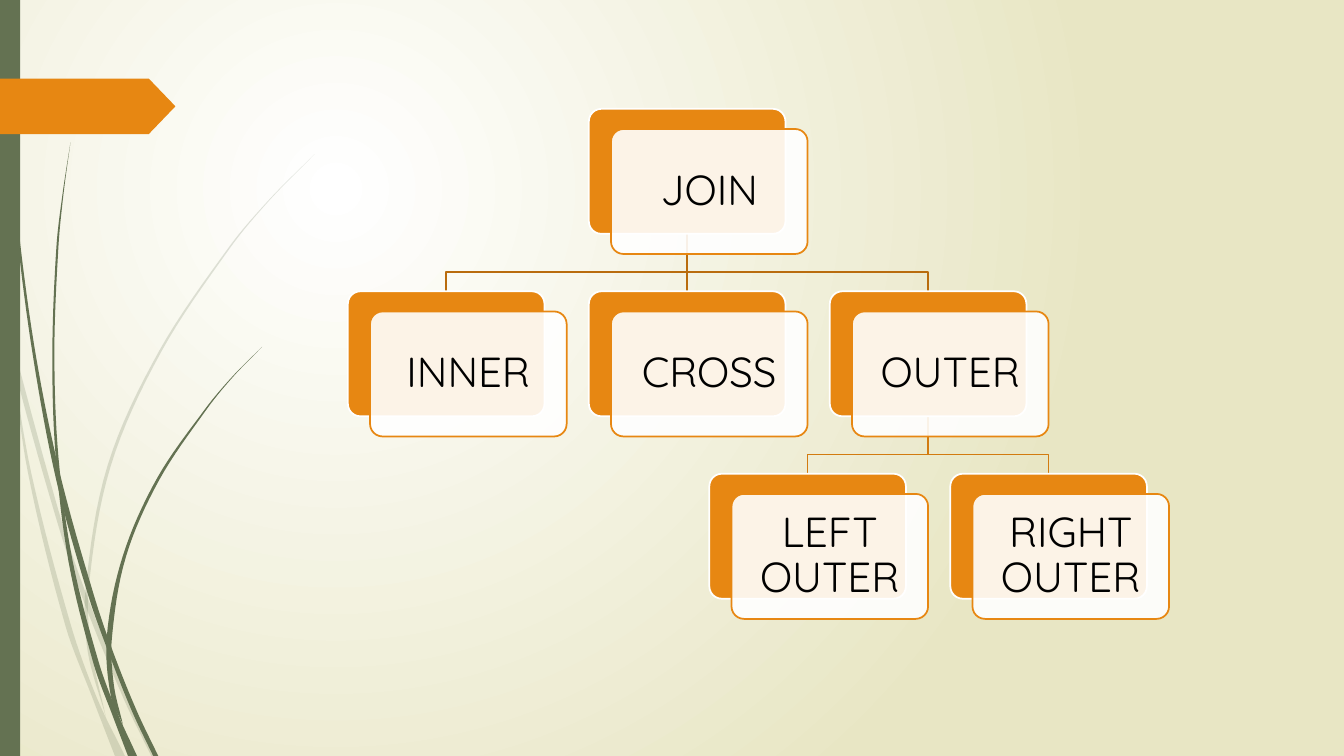
"""Builds a slide with a tree of SQL join types beside a grass motif."""
from dataclasses import dataclass
from typing import NamedTuple

from lxml import etree
from pptx import Presentation
from pptx.dml.color import RGBColor
from pptx.enum.shapes import MSO_CONNECTOR, MSO_SHAPE
from pptx.enum.text import MSO_ANCHOR, PP_ALIGN
from pptx.oxml.ns import qn
from pptx.util import Inches, Pt

RECTANGLE = MSO_SHAPE.RECTANGLE
ROUNDED = MSO_SHAPE.ROUNDED_RECTANGLE
TAG = MSO_SHAPE.PENTAGON
STRAIGHT = MSO_CONNECTOR.STRAIGHT
MIDDLE = MSO_ANCHOR.MIDDLE
CENTER = PP_ALIGN.CENTER


@dataclass(frozen=True)
class Theme:
    green: str = "647252"
    orange: str = "E78712"
    white: str = "FFFFFF"
    sand: str = "E8E6C4"
    black: str = "000000"
    branch_colors: tuple[str, ...] = ("B96C0E", "D27B10")
    font: str = "Quicksand"
    label_size: float = 30
    line_width: float = 1.25


class Point(NamedTuple):
    x: float
    y: float


@dataclass(frozen=True)
class Blade:
    left: list[tuple[float, float]]
    right: list[tuple[float, float]]
    opacity: int


@dataclass(frozen=True)
class Node:
    label: str
    column: float
    level: int
    parent: str = ""


THEME = Theme()
CARD_WIDTH, CARD_HEIGHT = 1.95, 1.24
TREE_LEFT, TREE_TOP = 3.45, 1.08
COLUMN_STEP, LEVEL_STEP = 2.39, 1.81
FRONT_SHIFT = Point(0.22, 0.2)
BEND_DROP = 0.38
CURVE_STEPS = 8

NODES = [
    Node("JOIN", 1, 0),
    Node("INNER", 0, 1, "JOIN"),
    Node("CROSS", 1, 1, "JOIN"),
    Node("OUTER", 2, 1, "JOIN"),
    Node("LEFT OUTER", 1.5, 2, "OUTER"),
    Node("RIGHT OUTER", 2.5, 2, "OUTER"),
]

BLADES = [
    Blade([(0, 2.99), (0.17, 3.76), (0.58, 5.22), (0.84, 5.99), (1.23, 6.94), (1.5, 7.5)],
          [(0, 2.82), (0.14, 3.45), (0.62, 5.2), (0.88, 5.96), (1.27, 6.92), (1.55, 7.5)], 20),
    Blade([(0.11, 3.5), (0.28, 4.7), (0.65, 6.21), (0.92, 6.93), (1.14, 7.5)],
          [(0.11, 3.5), (0.31, 4.69), (0.7, 6.19), (0.96, 6.92), (1.24, 7.5)], 20),
    Blade([(3.12, 1.53), (2.68, 1.97), (2.28, 2.44), (1.58, 3.48), (1.07, 4.61),
           (0.85, 5.84), (0.87, 6.46), (1.05, 7.11)],
          [(3.12, 1.53), (2.68, 1.98), (2.29, 2.45), (1.6, 3.49), (1.1, 4.62),
           (0.88, 5.84), (0.91, 6.46), (1.05, 7.11)], 20),
    Blade([(0.03, 0), (0.07, 1.1), (0.17, 2.33), (0.33, 3.55), (0.56, 4.77),
           (0.88, 5.92), (1.11, 6.56), (1.32, 7.08), (1.52, 7.5)],
          [(0.04, 0), (0.08, 1.09), (0.19, 2.32), (0.36, 3.55), (0.6, 4.72),
           (0.93, 5.9), (1.13, 6.49), (1.36, 7.06), (1.57, 7.5)], 100),
    Blade([(0.7, 1.41), (0.62, 1.93), (0.56, 2.45), (0.52, 3.49), (0.55, 4.49),
           (0.68, 5.57), (0.93, 6.59), (1.11, 7.08), (1.27, 7.5)],
          [(0.7, 1.41), (0.63, 1.93), (0.58, 2.45), (0.54, 3.49), (0.58, 4.53),
           (0.72, 5.56), (0.98, 6.57), (1.16, 7.06), (1.36, 7.5)], 100),
    Blade([(2.6, 3.44), (2.31, 3.73), (2.04, 4.05), (1.56, 4.74), (1.22, 5.51),
           (1.06, 6.31), (1.1, 6.91), (1.22, 7.19)],
          [(2.6, 3.44), (2.31, 3.74), (2.05, 4.06), (1.58, 4.76), (1.25, 5.52),
           (1.11, 6.33), (1.13, 6.8), (1.22, 7.19)], 100),
]


def color(value: str) -> RGBColor:
    return RGBColor.from_string(value)


def apply(target, **values) -> None:
    for name, value in values.items():
        setattr(target, name, value)


def style(shape, fill: str = "", line: str = "", opacity: int = 100) -> None:
    shape.shadow.inherit = False
    if fill:
        shape.fill.solid()
        shape.fill.fore_color.rgb = color(fill)
        if opacity < 100:
            tint = shape.fill._xPr.find(".//" + qn("a:srgbClr"))
            etree.SubElement(tint, qn("a:alpha"), val=str(opacity * 1000))
    else:
        shape.fill.background()
    if line:
        shape.line.color.rgb = color(line)
        shape.line.width = Pt(THEME.line_width)
    else:
        shape.line.fill.background()


def add_box(page, kind, left: float, top: float, width: float, height: float):
    return page.shapes.add_shape(kind, Inches(left), Inches(top), Inches(width), Inches(height))


def add_outline(page, points, close: bool):
    start, *rest = [(Inches(x), Inches(y)) for x, y in points]
    builder = page.shapes.build_freeform(*start, scale=1.0)
    builder.add_line_segments(rest, close=close)
    return builder.convert_to_shape()


def smooth_edge(knots: list[tuple[float, float]]) -> list[Point]:
    points = [Point(*knot) for knot in knots]
    last = len(points) - 1
    slopes = []
    for index in range(last + 1):
        before, after = points[max(index - 1, 0)], points[min(index + 1, last)]
        slopes.append((after.x - before.x) / (after.y - before.y))
    curve = [points[0]]
    for index, (start, end) in enumerate(zip(points, points[1:])):
        height = end.y - start.y
        for step in range(1, CURVE_STEPS + 1):
            t = step / CURVE_STEPS
            blend = t * t * (3 - 2 * t)
            x = start.x + (end.x - start.x) * blend
            x += height * t * (1 - t) * (slopes[index] * (1 - t) - slopes[index + 1] * t)
            curve.append(Point(x, start.y + height * t))
    return curve


def draw_blade(page, blade: Blade) -> None:
    outline = smooth_edge(blade.left) + smooth_edge(blade.right)[::-1]
    style(add_outline(page, outline, True), THEME.green, opacity=blade.opacity)


def corner(node: Node) -> Point:
    return Point(TREE_LEFT + node.column * COLUMN_STEP, TREE_TOP + node.level * LEVEL_STEP)


def draw_branch(page, parent: Node, child: Node) -> None:
    shift = CARD_WIDTH / 2
    start = Point(corner(parent).x + shift, corner(parent).y + CARD_HEIGHT)
    end = Point(corner(child).x + shift, corner(child).y)
    line_color = THEME.branch_colors[parent.level]
    if parent.column == child.column:
        branch = page.shapes.add_connector(STRAIGHT, *map(Inches, start + end))
        branch.line.color.rgb = color(line_color)
        branch.line.width = Pt(THEME.line_width)
        etree.SubElement(branch.element.spPr, qn("a:effectLst"))
    else:
        bend = start.y + BEND_DROP
        points = [start, Point(start.x, bend), Point(end.x, bend), end]
        style(add_outline(page, points, False), line=line_color)


def draw_node(page, node: Node) -> None:
    left, top = corner(node)
    back = add_box(page, ROUNDED, left, top, CARD_WIDTH, CARD_HEIGHT)
    style(back, THEME.orange, THEME.white)
    front = add_box(page, ROUNDED, left + FRONT_SHIFT.x, top + FRONT_SHIFT.y,
                    CARD_WIDTH, CARD_HEIGHT)
    style(front, THEME.white, THEME.orange, 90)
    for card in (back, front):
        card.adjustments[0] = 0.1
    frame = front.text_frame
    margins = {f"margin_{side}": Inches(0.12) for side in ("left", "top", "right", "bottom")}
    apply(frame, word_wrap=True, vertical_anchor=MIDDLE, **margins)
    para = frame.paragraphs[0]
    apply(para, alignment=CENTER, line_spacing=0.9)
    span = para.add_run()
    span.text = node.label
    apply(span.font, name=THEME.font, size=Pt(THEME.label_size))
    span.font.color.rgb = color(THEME.black)


def paint_background(page) -> None:
    fill = page.background.fill
    fill.gradient()
    for stop, value in zip(fill.gradient_stops, (THEME.white, THEME.sand)):
        stop.color.rgb = color(value)
    gradient = page.element.find(".//" + qn("a:gradFill"))
    gradient.remove(gradient.find(qn("a:lin")))
    circle = etree.SubElement(gradient, qn("a:path"), path="circle")
    etree.SubElement(circle, qn("a:fillToRect"), l="50000", t="50000", r="100000", b="100000")


def main() -> None:
    deck = Presentation()
    apply(deck, slide_width=Inches(13.33), slide_height=Inches(7.5))
    page = deck.slides.add_slide(deck.slide_layouts[6])
    paint_background(page)
    for blade in BLADES:
        draw_blade(page, blade)
    style(add_box(page, RECTANGLE, 0, 0, 0.2, 7.5), THEME.green)
    tag = add_box(page, TAG, 0, 0.78, 1.74, 0.55)
    tag.adjustments[0] = 0.48
    style(tag, THEME.orange)
    by_label = {node.label: node for node in NODES}
    for node in NODES:
        if node.parent:
            draw_branch(page, by_label[node.parent], node)
    for node in NODES:
        draw_node(page, node)
    deck.save("out.pptx")


main()
